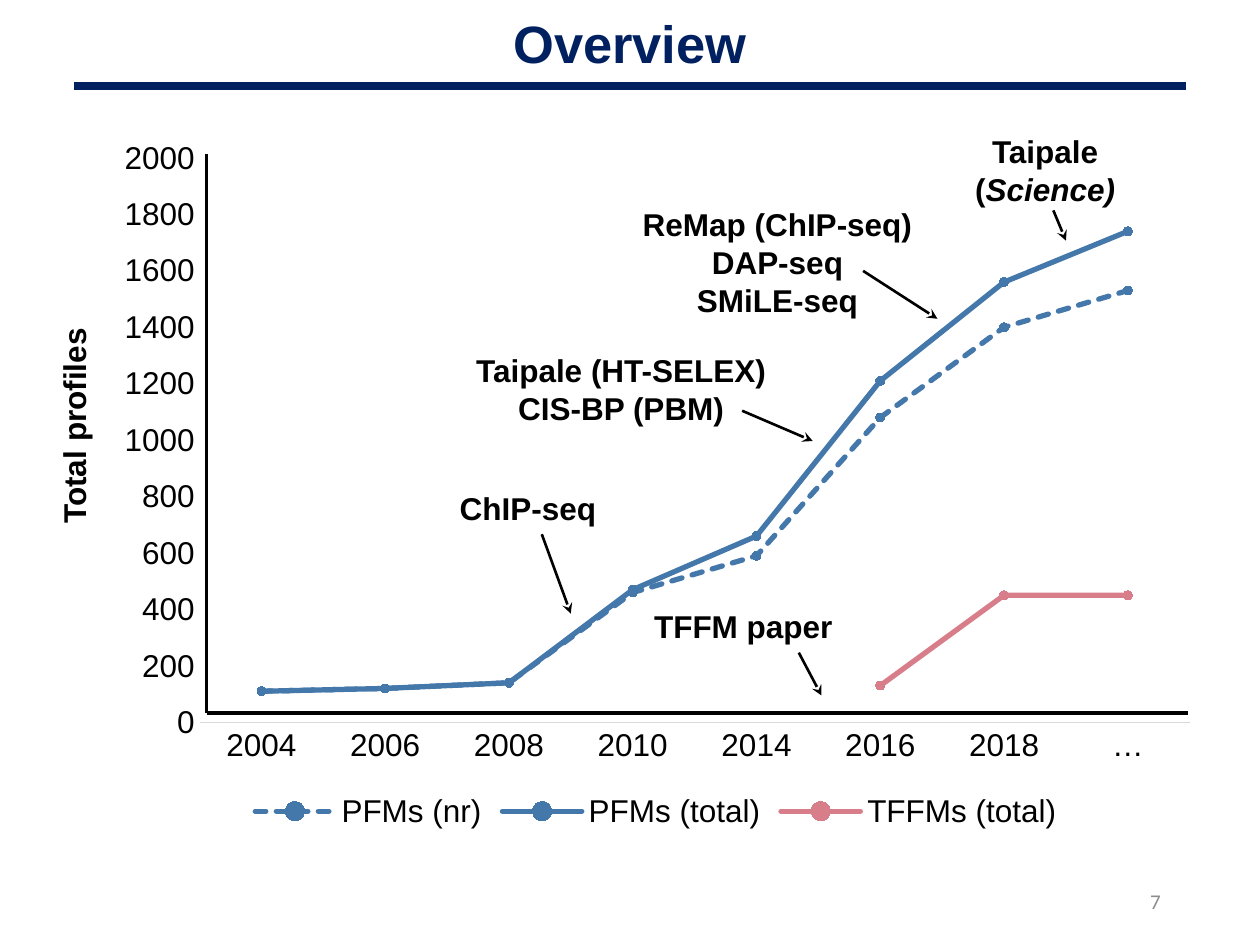
from dataclasses import dataclass

from lxml.etree import SubElement
from pptx import Presentation
from pptx.chart.data import CategoryChartData
from pptx.dml.color import RGBColor
from pptx.enum.chart import (XL_CHART_TYPE, XL_LEGEND_POSITION, XL_MARKER_STYLE,
                             XL_TICK_MARK)
from pptx.enum.dml import MSO_LINE
from pptx.enum.shapes import MSO_CONNECTOR
from pptx.enum.text import MSO_ANCHOR, PP_ALIGN
from pptx.oxml.ns import qn
from pptx.util import Inches, Pt


@dataclass(frozen=True)
class Theme:
    navy: str = "002060"
    black: str = "000000"
    grey: str = "8C8C8C"
    pale: str = "D9D9D9"
    blue: str = "4477AA"
    rose: str = "D87D8A"
    font: str = "Arial"
    number_font: str = "Calibri"
    title_size: int = 30
    body_size: int = 18
    number_size: int = 12


THEME = Theme()
WIDTH, HEIGHT = Inches(10), Inches(7.5)
COLUMNS, ROWS = 100, 75  # all places below are in grid columns and rows

YEARS = ["2004", "2006", "2008", "2010", "2014", "2016", "2018", "…"]
SERIES = [  # name, colour, dash, values
    ("PFMs (nr)", THEME.blue, MSO_LINE.SQUARE_DOT,
     [110, 120, 140, 460, 590, 1080, 1400, 1530]),
    ("PFMs (total)", THEME.blue, None,
     [110, 120, 140, 470, 660, 1210, 1560, 1740]),
    ("TFFMs (total)", THEME.rose, None,
     [None] * 5 + [130, 450, 450]),
]
CHART_BOX = (7.9, 10.3, 88.3, 56)
PLOT_SHARES = {"x": 0.09, "y": 0.04, "w": 0.89, "h": 0.8}

CALLOUTS = [  # lines of (text, italic) spans, box, arrow start and end
    ([[("ChIP-seq", False)]], (32.4, 38.3, 19, 4), (43, 42.4, 45.3, 48.7)),
    ([[("TFFM paper", False)]], (49.5, 47.7, 19, 4), (63.4, 51.8, 65.2, 55.2)),
    ([[("Taipale (HT-SELEX)", False)], [("CIS-BP (PBM)", False)]],
     (34.3, 27.4, 30, 7.1), (58.9, 32.6, 64.5, 35)),
    ([[("Taipale (", False), ("Science)", True)]],
     (75.8, 10, 14.3, 7.1), (83.6, 16.7, 84.6, 19.1)),
    ([[("ReMap (ChIP-seq)", False)], [("DAP-seq", False)], [("SMiLE-seq", False)]],
     (49.6, 15.8, 24.2, 10.1), (68.5, 21.5, 74.4, 25.3)),
]
AXIS_LEFT, AXIS_RIGHT, AXIS_TOP, AXIS_BOTTOM = 16.4, 94.3, 12.2, 56.6


def place(*lengths):
    """Turn alternating columns and rows into slide lengths."""
    units = (WIDTH / COLUMNS, HEIGHT / ROWS)
    return [round(length * units[i % 2]) for i, length in enumerate(lengths)]


def style(font, size=THEME.body_size, color=THEME.black, name=THEME.font, bold=False):
    font.size, font.name, font.bold = Pt(size), name, bold
    font.color.rgb = RGBColor.from_string(color)


def add_line(page, ends, width, color=THEME.black, arrow=False):
    line = page.shapes.add_connector(MSO_CONNECTOR.STRAIGHT, *place(*ends))
    line.line.width = Pt(width)
    line.line.color.rgb = RGBColor.from_string(color)
    properties = line.element.spPr
    if arrow:
        SubElement(properties.find(qn("a:ln")), qn("a:tailEnd"), type="stealth")
    SubElement(properties, qn("a:effectLst"))


def add_text(page, lines, at, align=PP_ALIGN.CENTER, **font):
    box = page.shapes.add_textbox(*place(*at))
    frame = box.text_frame
    frame.word_wrap = True
    frame.text = "\n".join("" for _ in lines)
    for para, spans in zip(frame.paragraphs, lines):
        para.alignment = align
        for text, italic in spans:
            span = para.add_run()
            span.text = text
            style(span.font, **font)
            span.font.italic = italic
    return box


def set_plot_area(chart):
    """Fix the inner plot area and round the ends of the series lines."""
    plot_area = chart.element.find(".//" + qn("c:plotArea"))
    layout = plot_area.find(qn("c:layout"))
    if layout is None:
        layout = SubElement(plot_area, qn("c:layout"))
        plot_area.insert(0, layout)
    manual = SubElement(layout, qn("c:manualLayout"))
    settings = {"layoutTarget": "inner", "xMode": "edge", "yMode": "edge", **PLOT_SHARES}
    for tag, value in settings.items():
        SubElement(manual, qn("c:" + tag), val=str(value))
    for series in plot_area.iter(qn("c:ser")):
        series.find(qn("c:spPr") + "/" + qn("a:ln")).set("cap", "rnd")


def add_profile_chart(page):
    data = CategoryChartData()
    data.categories = YEARS
    for name, _, _, values in SERIES:
        data.add_series(name, values)
    chart = page.shapes.add_chart(
        XL_CHART_TYPE.LINE_MARKERS, *place(*CHART_BOX), data).chart
    style(chart.font)
    chart.has_title = False
    chart.has_legend = True
    chart.legend.position = XL_LEGEND_POSITION.BOTTOM
    chart.legend.include_in_layout = False
    style(chart.legend.font)

    for axis in (chart.category_axis, chart.value_axis):
        axis.major_tick_mark = axis.minor_tick_mark = XL_TICK_MARK.NONE
        axis.has_major_gridlines = False
        style(axis.tick_labels.font)
    chart.category_axis.format.line.color.rgb = RGBColor.from_string(THEME.pale)
    chart.category_axis.format.line.width = Pt(0.75)
    values = chart.value_axis
    values.minimum_scale, values.maximum_scale, values.major_unit = 0, 2000, 200
    values.format.line.fill.background()

    chart.plots[0].vary_by_categories = False
    for series, (_, color, dash, _) in zip(chart.plots[0].series, SERIES):
        series.smooth = False
        line, marker = series.format.line, series.marker
        line.width = Pt(3)
        line.color.rgb = RGBColor.from_string(color)
        if dash:
            line.dash_style = dash
        marker.style, marker.size = XL_MARKER_STYLE.CIRCLE, 5
        marker.format.fill.solid()
        marker.format.fill.fore_color.rgb = RGBColor.from_string(color)
        marker.format.line.fill.background()
    set_plot_area(chart)


def main():
    deck = Presentation()
    deck.slide_width, deck.slide_height = WIDTH, HEIGHT
    page = deck.slides.add_slide(deck.slide_layouts[6])

    add_line(page, (5.9, 6.8, 94.1, 6.8), 4.5, THEME.navy)
    number = add_text(page, [[("7", False)]], (70.6, 69.5, 22.5, 4), PP_ALIGN.RIGHT,
                      size=THEME.number_size, color=THEME.grey, name=THEME.number_font)
    number.text_frame.vertical_anchor = MSO_ANCHOR.MIDDLE
    add_text(page, [[("Overview", False)]], (6.3, 0.4, 87.4, 6.1),
             size=THEME.title_size, color=THEME.navy, bold=True)

    add_profile_chart(page)
    for lines, at, arrow in CALLOUTS:
        add_text(page, lines, at, bold=True)
        add_line(page, arrow, 1.5, arrow=True)
    add_line(page, (AXIS_LEFT, AXIS_BOTTOM, AXIS_RIGHT, AXIS_BOTTOM), 2)
    add_line(page, (AXIS_LEFT, AXIS_BOTTOM, AXIS_LEFT, AXIS_TOP), 2)
    axis_title = add_text(page, [[("Total profiles", False)]], (-7.4, 31.8, 26.5, 4),
                          bold=True)
    axis_title.rotation = 270

    deck.save("out.pptx")


if __name__ == "__main__":
    main()
